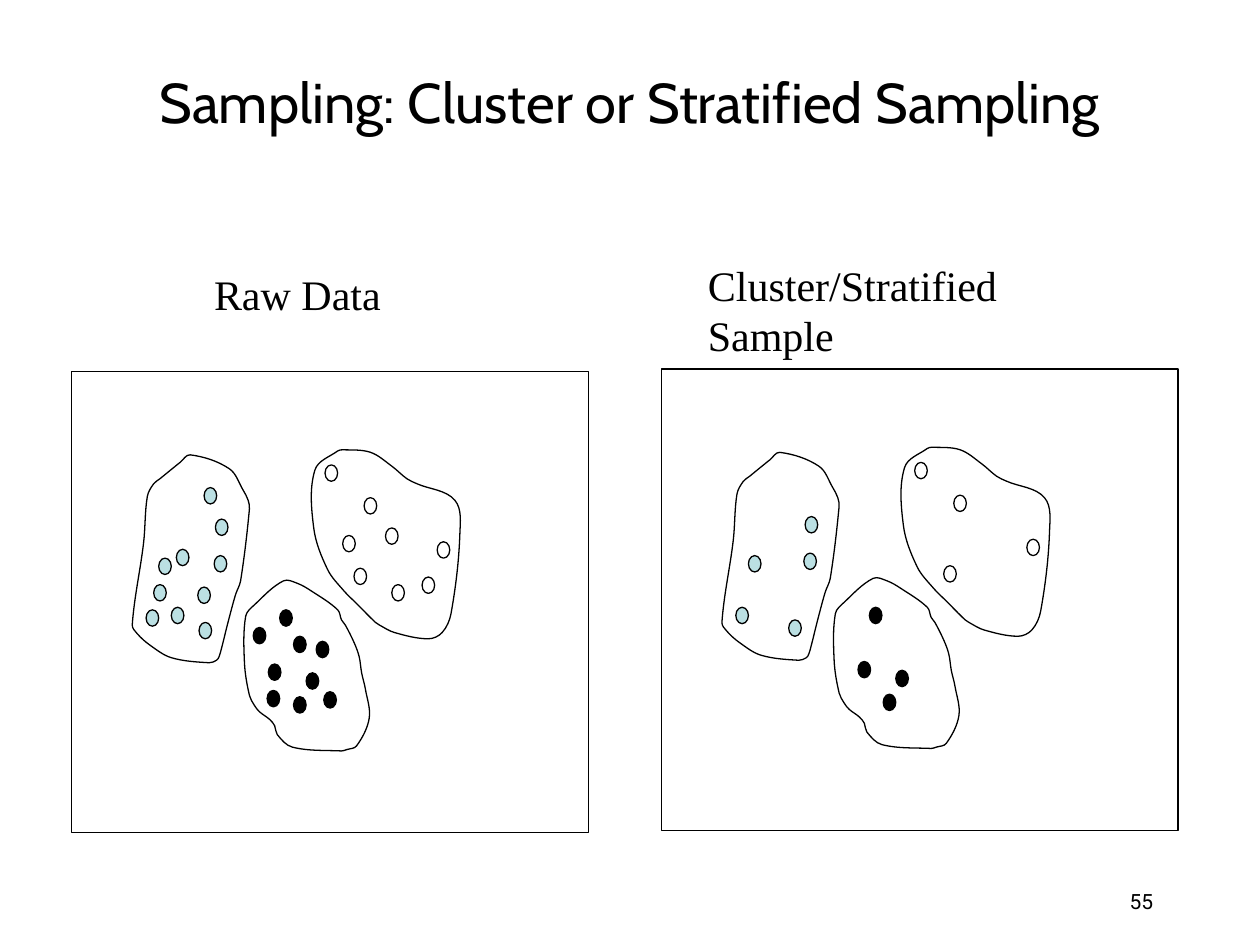
import math

import lxml.etree
import pptx
import pptx.util
import pptx.dml.color
import pptx.enum.shapes
import pptx.enum.text
import pptx.oxml.ns

Inches = pptx.util.Inches
qn = pptx.oxml.ns.qn
Shape = pptx.enum.shapes.MSO_SHAPE
Align = pptx.enum.text.PP_ALIGN
Anchor = pptx.enum.text.MSO_ANCHOR

COLORS = {"ink": "000000", "white": "FFFFFF", "aqua": "BBE0E3"}

TEXTS = [
    ("Sampling: Cluster or Stratified Sampling", (0.25, 0.34, 9.5, 0.92),
     "Cabin", 32, Align.CENTER, Anchor.MIDDLE),
    ("Raw Data", (1.6, 2.08, 1.61, 0.5), "Times New Roman", 24, Align.LEFT, Anchor.TOP),
    ("Cluster/Stratified Sample", (5.52, 2.01, 3.2, 0.9),
     "Times New Roman", 24, Align.LEFT, Anchor.TOP),
    ("55", (7.17, 7, 2.08, 0.33), "Roboto", 12, Align.RIGHT, Anchor.TOP),
]

CLUSTERS = [
    {
        "color": "white",
        "sampled": [(2.89, 3.95), (2.81, 4.51), (3.47, 4.3), (2.58, 3.69)],
        "unsampled": [(3.06, 4.19), (2.72, 4.25), (3.35, 4.58), (3.11, 4.64)],
        "outline": [
            (3.61, 3.97), (3.65, 4.24), (3.58, 4.87), (3.51, 5.02), (3.4, 5.07),
            (3.13, 5.02), (3.01, 4.96), (2.98, 4.94), (2.83, 4.79), (2.73, 4.69),
            (2.6, 4.52), (2.49, 4.19), (2.5, 3.73), (2.68, 3.58), (2.72, 3.57),
            (2.94, 3.59), (3.11, 3.7), (3.23, 3.8), (3.31, 3.84)],
    },
    {
        "color": "ink",
        "sampled": [(2.33, 5.53), (2.43, 5.34), (2.13, 5.27), (2.22, 4.84)],
        "unsampled": [(2.01, 4.98), (2.51, 5.09), (2.12, 5.48), (2.33, 5.05), (2.57, 5.49)],
        "outline": [
            (2.18, 5.76), (2.14, 5.71), (2.06, 5.65), (2.02, 5.6), (1.98, 5.52),
            (1.94, 5.26), (1.95, 4.89), (2.02, 4.8), (2.25, 4.61), (2.36, 4.63),
            (2.47, 4.69), (2.68, 4.84), (2.71, 4.92), (2.74, 4.96), (2.81, 5.1),
            (2.85, 5.21), (2.87, 5.34), (2.9, 5.47), (2.93, 5.7), (2.83, 5.92),
            (2.75, 5.95), (2.71, 5.96), (2.32, 5.93), (2.2, 5.83)],
    },
    {
        "color": "aqua",
        "sampled": [(1.16, 4.84), (1.26, 4.43), (1.58, 4.94), (1.7, 4.41), (1.71, 4.12)],
        "unsampled": [(1.36, 4.82), (1.22, 4.64), (1.57, 4.66), (1.4, 4.36), (1.62, 3.87)],
        "outline": [
            (1.87, 4.72), (1.81, 4.94), (1.76, 5.14), (1.74, 5.21), (1.72, 5.24),
            (1.66, 5.26), (1.36, 5.22), (1.19, 5.12), (1.09, 5.03), (1.05, 4.96),
            (1.14, 4.31), (1.17, 3.94), (1.22, 3.84), (1.27, 3.8), (1.38, 3.71),
            (1.43, 3.67), (1.51, 3.61), (1.82, 3.72), (1.93, 3.89), (1.97, 3.97),
            (1.98, 4.04), (1.91, 4.61)],
    },
]

FRAME = (0.57, 2.95, 4.1, 3.66)
DOT = (0.1, 0.13)
PANELS = [(0, 0, ("unsampled", "sampled")), (4.68, -0.02, ("sampled",))]


def rgb(name):
    return pptx.dml.color.RGBColor.from_string(COLORS[name])


def style(shape, fill=None):
    shape.shadow.inherit = False
    shape.line.color.rgb = rgb("ink")
    shape.line.width = pptx.util.Pt(0.75)
    if fill:
        shape.fill.solid()
        shape.fill.fore_color.rgb = rgb(fill)
    else:
        shape.fill.background()


def handle(corner, before, after, reach):
    dx, dy = after[0] - before[0], after[1] - before[1]
    ratio = reach / math.hypot(dx, dy)
    return corner[0] + dx * ratio, corner[1] + dy * ratio


def round_corners(outline):
    segments = list(outline._element.iter(qn("a:lnTo")))
    corners = [(int(segment[0].get("x")), int(segment[0].get("y"))) for segment in segments]
    count = len(corners)
    for i, segment in enumerate(segments):
        before, start, end, after = (corners[(i + k) % count] for k in (-2, -1, 0, 1))
        reach = math.dist(start, end) / 3
        controls = (handle(start, before, end, reach), handle(end, after, start, reach), end)
        curve = lxml.etree.Element(qn("a:cubicBezTo"))
        for x, y in controls:
            lxml.etree.SubElement(curve, qn("a:pt"), x=str(round(x)), y=str(round(y)))
        segment.getparent().replace(segment, curve)


def add_text(slide, words, box, font, size, align, anchor):
    frame = slide.shapes.add_textbox(*map(Inches, box)).text_frame
    frame.word_wrap = True
    frame.vertical_anchor = anchor
    paragraph = frame.paragraphs[0]
    paragraph.text = words
    paragraph.alignment = align
    paragraph.font.name = font
    paragraph.font.size = pptx.util.Pt(size)
    paragraph.font.color.rgb = rgb("ink")


def add_panel(slide, dx, dy, subsets):
    panel = slide.shapes.add_group_shape().shapes

    def add(kind, left, top, width, height, fill=None):
        box = map(Inches, (left + dx, top + dy, width, height))
        style(panel.add_shape(kind, *box), fill)

    add(Shape.RECTANGLE, *FRAME)
    for cluster in CLUSTERS:
        for subset in subsets:
            for left, top in cluster[subset]:
                add(Shape.FLOWCHART_CONNECTOR, left, top, *DOT, cluster["color"])
        corners = [(Inches(x + dx), Inches(y + dy)) for x, y in cluster["outline"]]
        builder = panel.build_freeform(*corners[0])
        builder.add_line_segments(corners[1:] + corners[:1], close=True)
        outline = builder.convert_to_shape()
        round_corners(outline)
        style(outline)


def main():
    deck = pptx.Presentation()
    deck.slide_width, deck.slide_height = Inches(10), Inches(7.5)
    slide = deck.slides.add_slide(deck.slide_layouts[6])
    for panel in PANELS:
        add_panel(slide, *panel)
    for text in TEXTS:
        add_text(slide, *text)
    deck.save("out.pptx")


if __name__ == "__main__":
    main()
